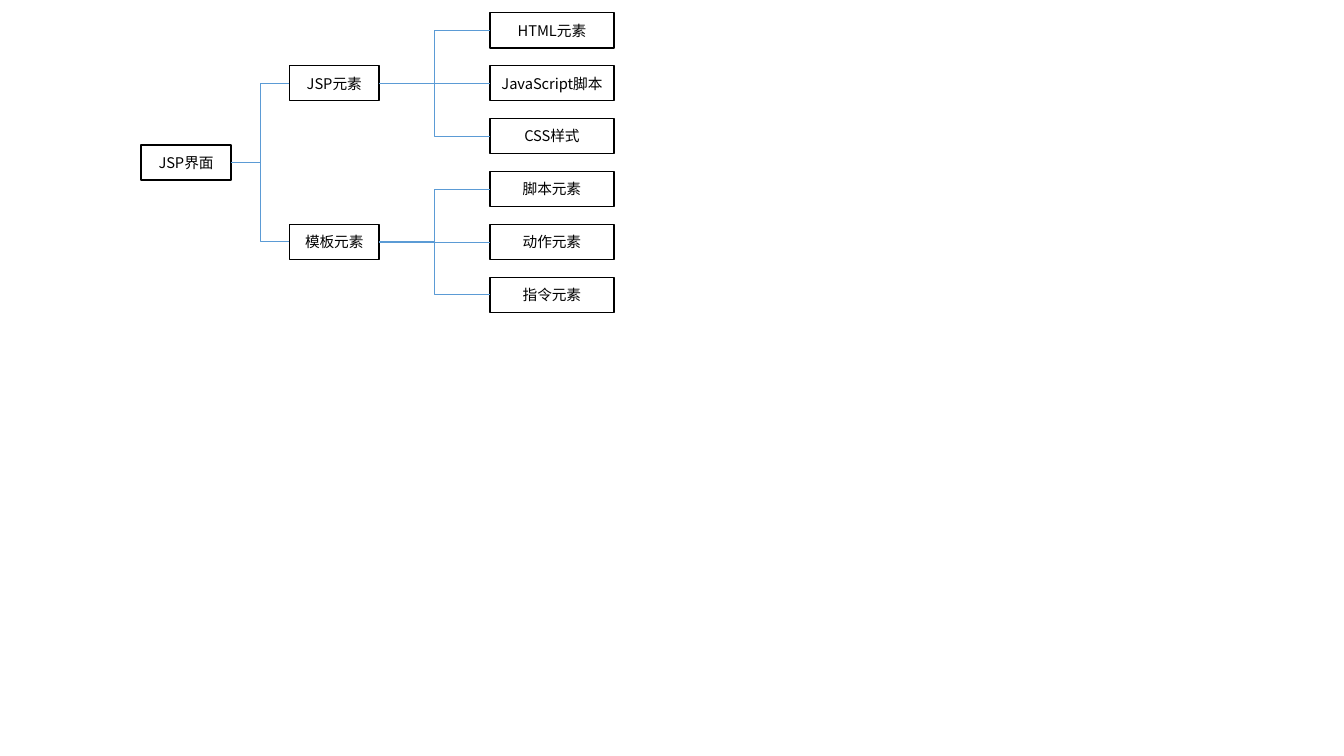
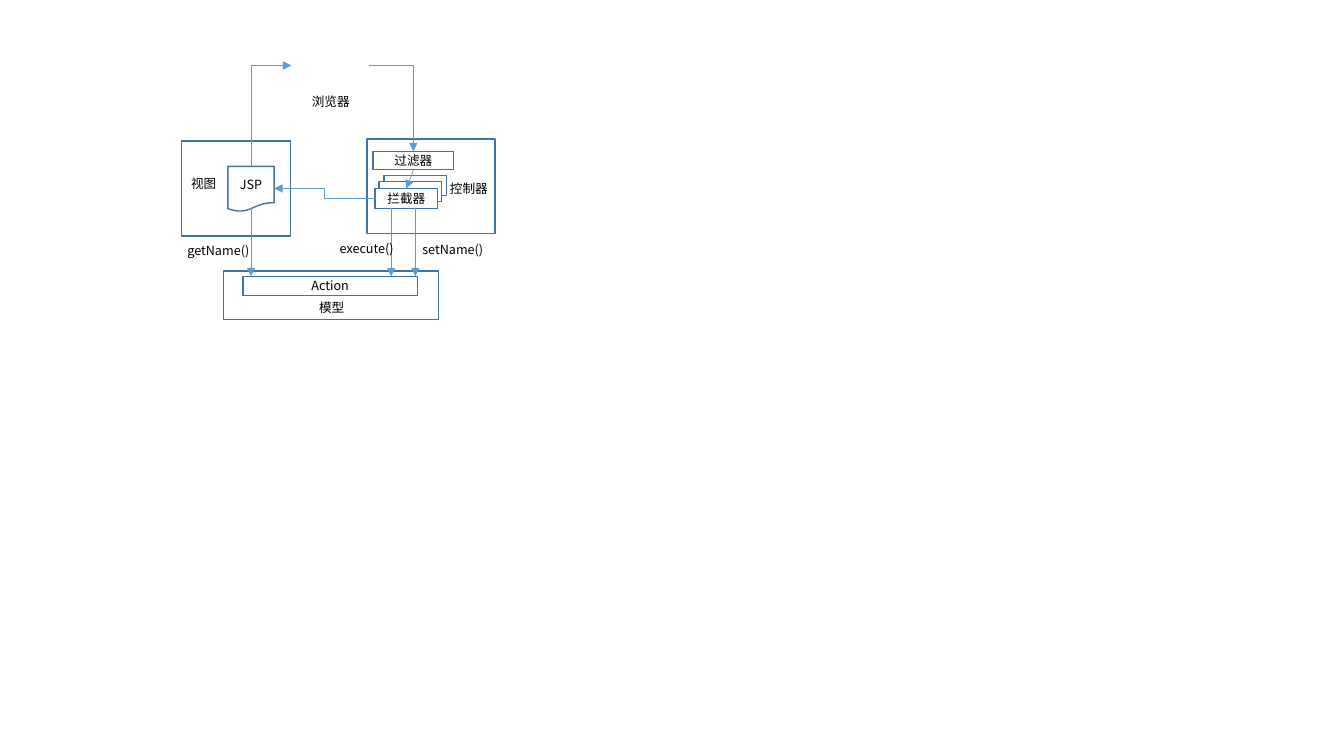
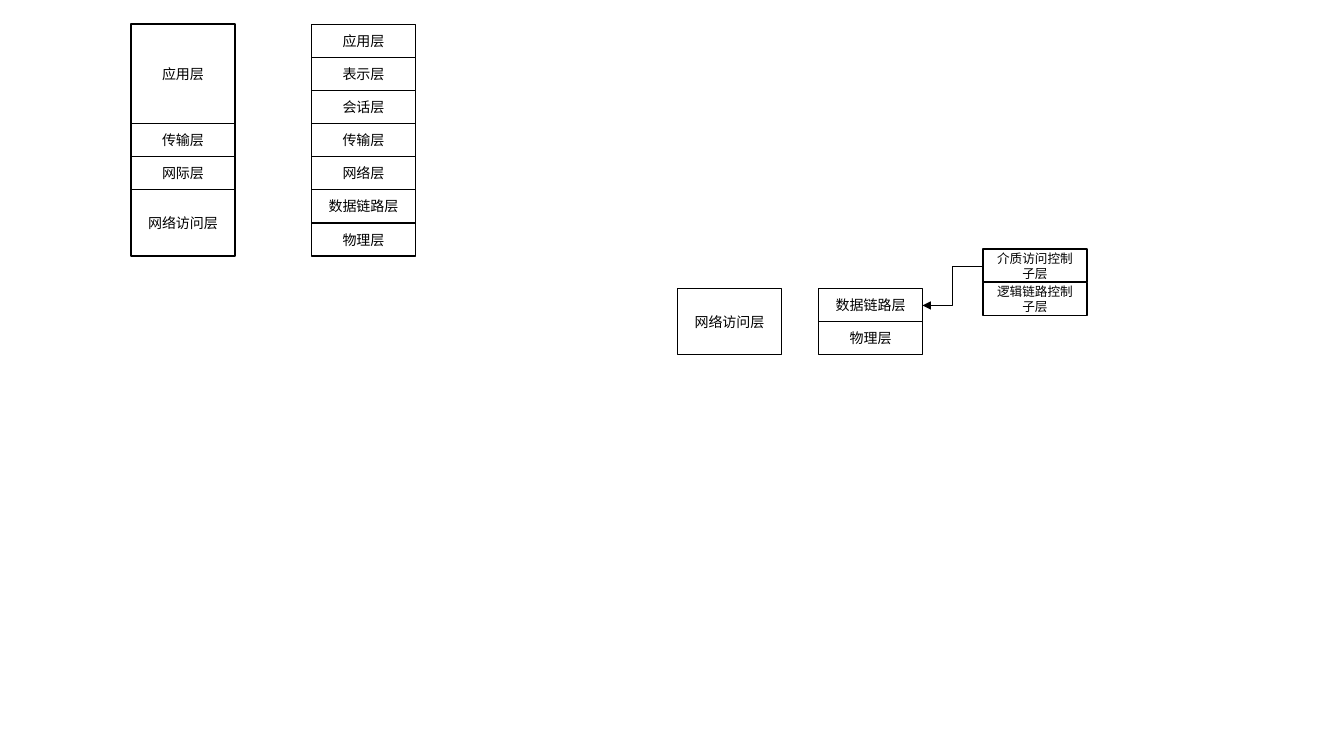
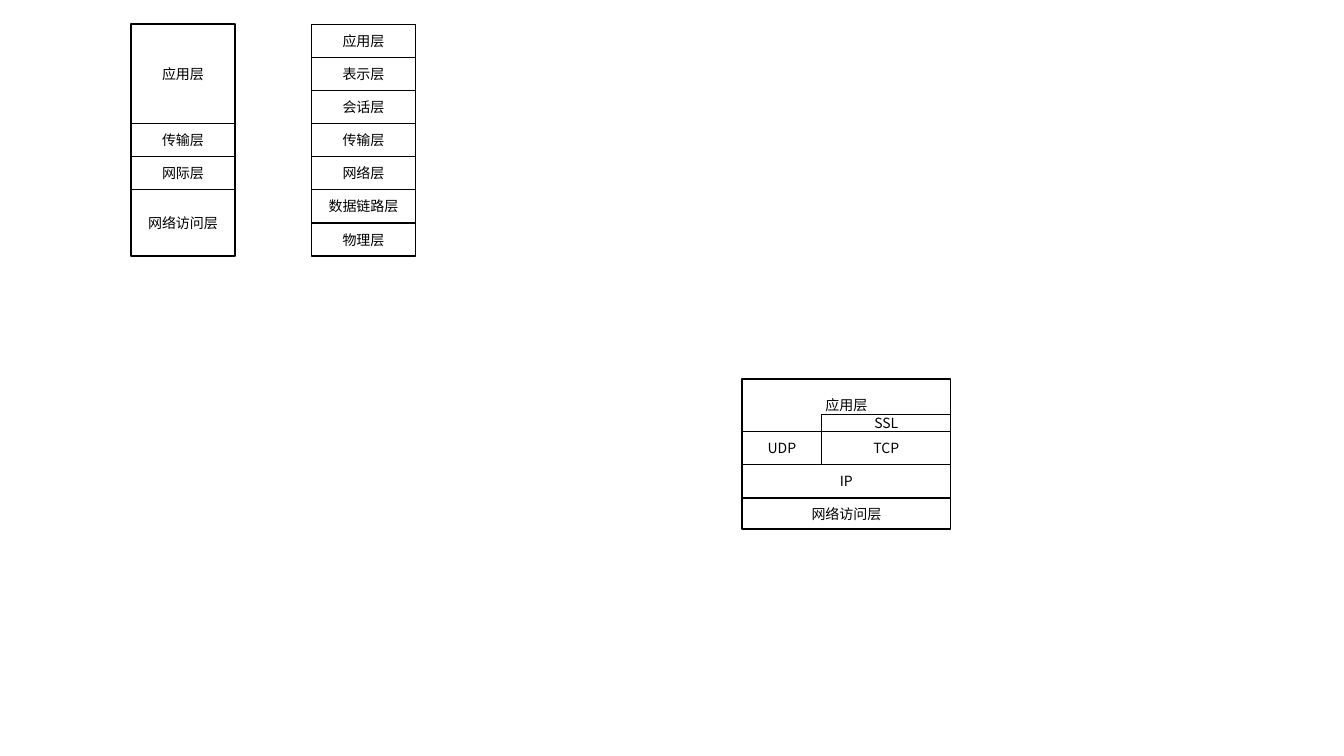
from pptx import Presentation
from pptx.dml.color import RGBColor
from pptx.enum.shapes import MSO_CONNECTOR, MSO_SHAPE
from pptx.enum.text import MSO_ANCHOR, PP_ALIGN
from pptx.oxml.ns import qn
from pptx.util import Inches, Pt
from lxml import etree

RECT = MSO_SHAPE.RECTANGLE
PROCESS = MSO_SHAPE.FLOWCHART_PROCESS
PAGE = MSO_SHAPE.FLOWCHART_DOCUMENT
STRAIGHT, ELBOW = MSO_CONNECTOR.STRAIGHT, MSO_CONNECTOR.ELBOW
LEFT, CENTER = PP_ALIGN.LEFT, PP_ALIGN.CENTER
TOP, MIDDLE = MSO_ANCHOR.TOP, MSO_ANCHOR.MIDDLE

BLACK = RGBColor(0, 0, 0)
WHITE = RGBColor(255, 255, 255)
NAVY = RGBColor(0x43, 0x73, 0x9E)
BLUE = RGBColor(0x5B, 0x9B, 0xD5)
FONT = "Noto Sans CJK SC"


def write(frame, text, size=10, align=CENTER, anchor=MIDDLE, left=0.1, right=0.1):
    frame.word_wrap = True
    frame.vertical_anchor = anchor
    frame.margin_left, frame.margin_right = Inches(left), Inches(right)
    para = frame.paragraphs[0]
    para.alignment = align
    run = para.add_run()
    run.text = text
    run.font.size = Pt(size)
    run.font.name = FONT
    run.font.color.rgb = BLACK
    asian = etree.SubElement(run.font._element, qn("a:ea"))
    asian.set("typeface", FONT)


class Deck:
    def __init__(self):
        self.prs = Presentation()
        self.prs.slide_width, self.prs.slide_height = Inches(13.33), Inches(7.5)
        self.shapes = None

    def slide(self, size, edge=BLACK, wire=BLUE, inset=0.1):
        """Start a slide and set the style of its boxes and lines."""
        self.shapes = self.prs.slides.add_slide(self.prs.slide_layouts[6]).shapes
        self.size, self.edge, self.wire, self.inset = size, edge, wire, inset

    def box(self, x, y, w, h, text="", kind=RECT, size=None):
        shape = self.shapes.add_shape(kind, Inches(x), Inches(y), Inches(w), Inches(h))
        shape.shadow.inherit = False
        shape.fill.solid()
        shape.fill.fore_color.rgb = WHITE
        shape.line.color.rgb = self.edge
        shape.line.width = Pt(1)
        if text:
            write(shape.text_frame, text, size=size or self.size,
                  left=self.inset, right=self.inset)

    def label(self, x, y, w, text, align=CENTER):
        area = self.shapes.add_textbox(Inches(x), Inches(y), Inches(w), Inches(0.25))
        write(area.text_frame, text, size=self.size, align=align, anchor=TOP,
              right=0.1 if align == CENTER else 0)

    def line(self, start, end, kind=STRAIGHT, arrow=None, corner=False):
        """Arrow is headEnd or tailEnd; a corner line bends only once."""
        wire = self.shapes.add_connector(kind, *map(Inches, start + end))
        wire.line.color.rgb = self.wire
        wire.line.width = Pt(0.5)
        props = wire._element.spPr
        if corner:
            props.find(qn("a:prstGeom")).set("prst", "bentConnector2")
        if arrow:
            etree.SubElement(props.find(qn("a:ln")), qn("a:" + arrow)).set("type", "triangle")
        etree.SubElement(props, qn("a:effectLst"))

    def stack(self, x, y, rows, unit=0.33, size=None):
        """Pile up layers; each row is its text and its height in units."""
        for text, count in rows:
            self.box(x, y, 1.03, unit * count, text, size=size)
            y += unit * count

    def models(self):
        """The four-layer and seven-layer network models, side by side."""
        four = [("应用层", 3), ("传输层", 1), ("网际层", 1), ("网络访问层", 2)]
        seven = ["应用层", "表示层", "会话层", "传输层", "网络层", "数据链路层", "物理层"]
        unit = 2.3 / 7
        self.stack(1.3, 0.24, four, unit)
        self.stack(3.09, 0.24, [(name, 1) for name in seven], unit)


deck = Deck()

# Slide 1: tree of page elements
deck.slide(10.5, inset=0.05)
TREE = [("JSP元素", ["HTML元素", "JavaScript脚本", "CSS样式"]),
        ("模板元素", ["脚本元素", "动作元素", "指令元素"])]
FIRST, STEP, TALL = 0.3, 0.525, 0.35  # centre of top leaf, pitch, box height


def node(x, mid, w, text):
    deck.box(x, mid - TALL / 2, w, TALL, text)


root = FIRST + 2.5 * STEP
node(1.4, root, 0.89, "JSP界面")
for i, (name, leaves) in enumerate(TREE):
    mid = FIRST + (3 * i + 1) * STEP
    node(2.87, mid, 0.89, name)
    deck.line((2.87, mid), (2.29, root), ELBOW)
    for j, leaf in enumerate(leaves):
        spot = mid + (j - 1) * STEP
        node(4.86, spot, 1.23, leaf)
        deck.line((4.86, spot), (3.76, mid), STRAIGHT if j == 1 else ELBOW)

# Slide 2: view, controller and model
deck.slide(9, edge=NAVY, inset=0.05)
deck.label(2.92, 0.88, 0.72, "浏览器")
deck.box(1.8, 1.4, 1.08, 0.94)
deck.label(1.75, 1.7, 0.54, "视图")
deck.box(2.26, 1.65, 0.46, 0.45, "JSP", PAGE)
deck.box(3.64, 1.38, 1.27, 0.94)
deck.label(4.34, 1.75, 0.62, "控制器")
deck.box(3.7, 1.5, 0.8, 0.18, "过滤器", PROCESS)
for x, y, text in [(3.81, 1.74, ""), (3.76, 1.8, ""), (3.72, 1.87, "拦截器")]:
    deck.box(x, y, 0.62, 0.2, text, PROCESS)
deck.box(2.22, 2.69, 2.13, 0.48)
deck.label(2.98, 2.93, 0.62, "模型")
deck.box(2.41, 2.74, 1.73, 0.19, "Action", PROCESS)

# Calls between the parts
deck.line((2.89, 0.65), (2.49, 1.65), ELBOW, "headEnd", corner=True)
deck.line((3.66, 0.65), (4.1, 1.5), ELBOW, "tailEnd", corner=True)
deck.line((4.1, 1.69), (4.03, 1.87), arrow="tailEnd")
deck.line((3.72, 1.97), (2.72, 1.87), ELBOW, "tailEnd")
for x in (2.49, 3.88, 4.12):
    deck.line((x, 2.06), (x, 2.74), arrow="tailEnd")
for x, y, text in [(4.09, 2.35, "setName()"), (3.27, 2.34, "execute()"),
                   (1.76, 2.36, "getName()")]:
    deck.label(x, y, 0.81, text, LEFT)

# Slide 3: network models and the sublayers of the data link
deck.slide(10, wire=BLACK)
deck.models()
deck.stack(6.72, 2.86, [("网络访问层", 2)])
deck.stack(8.12, 2.86, [("数据链路层", 1), ("物理层", 1)])
deck.stack(9.75, 2.47, [("介质访问控制子层", 1), ("逻辑链路控制子层", 1)], size=9)
deck.line((9.75, 2.64), (9.15, 3.03), ELBOW, "tailEnd")

# Slide 4: network models and the place of SSL
deck.slide(10)
deck.models()
for x, y, w, h, text in [
    (7.36, 3.76, 2.07, 0.52, "应用层"),
    (8.15, 4.28, 1.28, 0.33, "TCP"),
    (7.36, 4.61, 2.07, 0.33, "IP"),
    (7.36, 4.94, 2.07, 0.31, "网络访问层"),
    (7.36, 4.28, 0.79, 0.33, "UDP"),
    (8.15, 4.11, 1.28, 0.17, "SSL"),
]:
    deck.box(x, y, w, h, text)

deck.prs.save("out.pptx")
